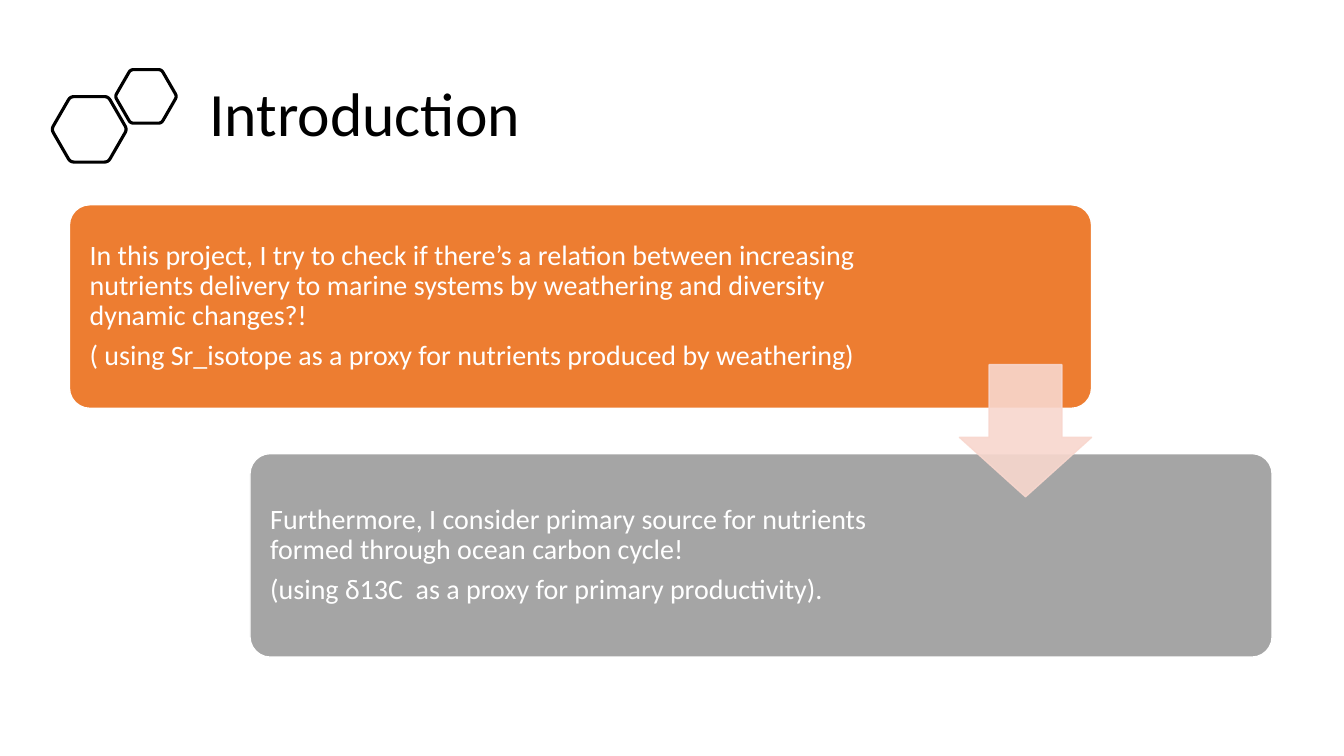
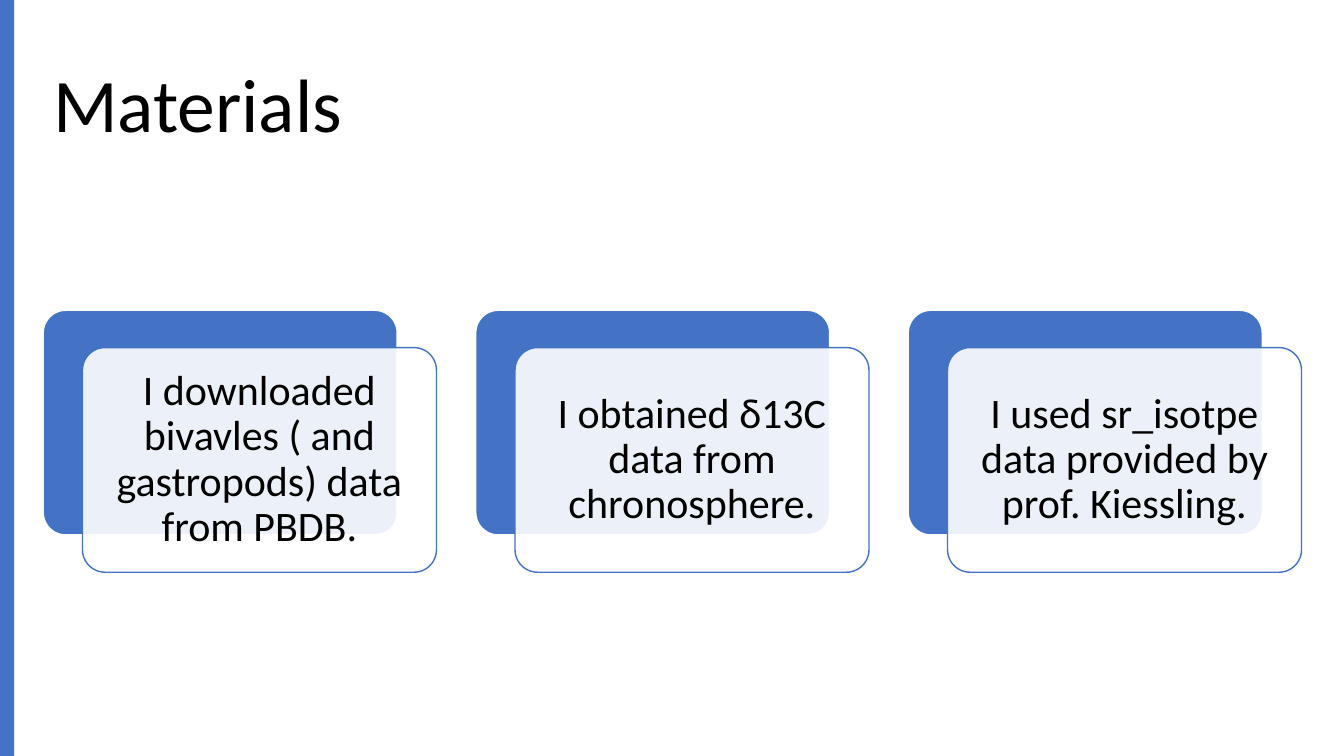
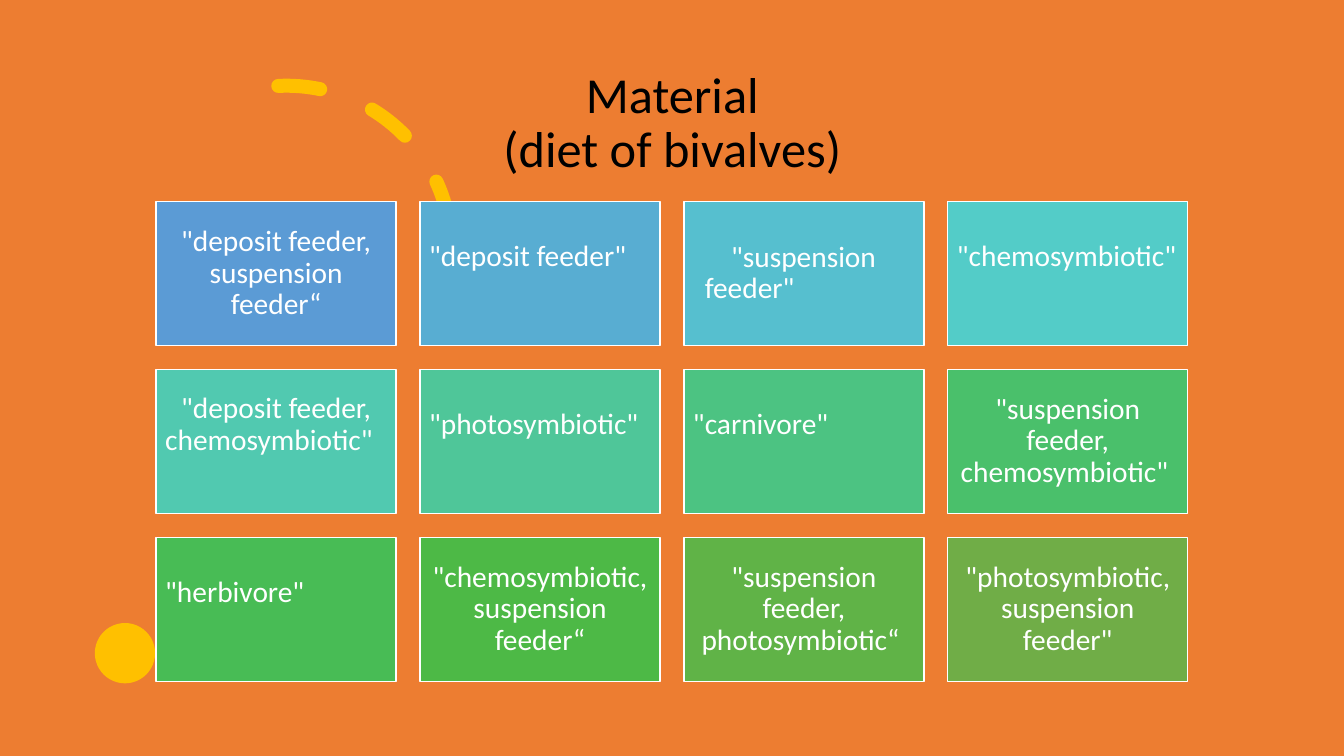
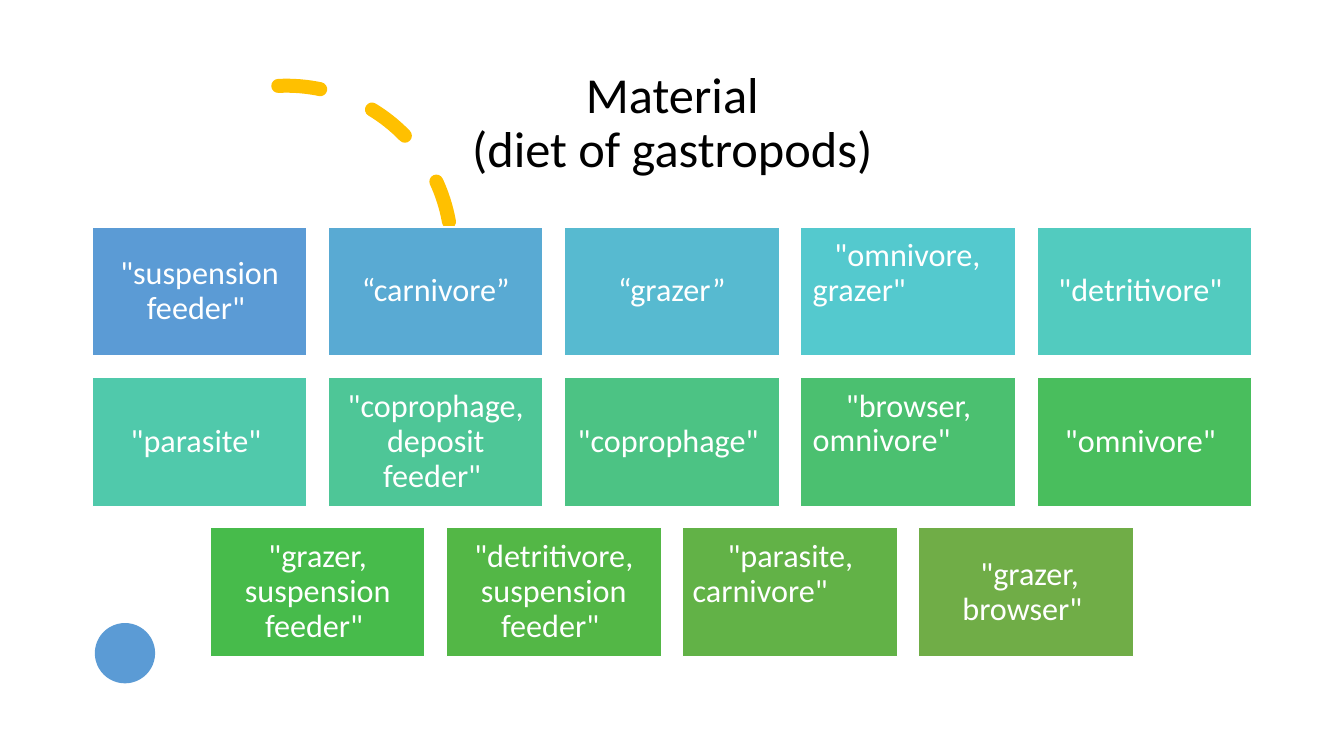
from math import cos, pi, sin, sqrt

from pptx import Presentation
from pptx.dml.color import RGBColor
from pptx.enum.dml import MSO_LINE
from pptx.enum.shapes import MSO_SHAPE
from pptx.enum.text import MSO_ANCHOR, PP_ALIGN
from pptx.oxml.ns import qn
from pptx.util import Cm, Pt

PAGE_WIDTH, PAGE_HEIGHT = 33.87, 19.05
FONT = "Calibri"
BLACK, WHITE = "000000", "FFFFFF"
BLUE, SKY, ORANGE, GREY = "4472C4", "5B9BD5", "ED7D31", "A5A5A5"
GOLD, PINK = "FFC000", "F8D7CE"
LINE_HEIGHT = 1.1

INTRODUCTION = [
    ((1.75, 5.16), ORANGE, 5.33, [
        "In this project, I try to check if there’s a relation between increasing nutrients "
        "delivery to marine systems by weathering and diversity dynamic changes?!",
        "( using Sr_isotope as a proxy for nutrients produced by weathering)",
    ]),
    ((6.3, 11.43), GREY, 8.23, [
        "Furthermore, I consider primary source for nutrients formed through ocean carbon cycle!",
        "(using δ13C  as a proxy for primary productivity).",
    ]),
]

MATERIALS = [
    "I downloaded bivavles ( and gastropods) data from PBDB.",
    "I obtained δ13C data from chronosphere.",
    "I used sr_isotpe data provided by prof. Kiessling.",
]

# Each tile: colour, text and, for left-aligned text, its placement.
RAISED = {"left": 0, "raised": True}
BIVALVE_DIETS = [
    [
        ("5B9BD5", '"deposit feeder, suspension feeder“', {}),
        ("58ADD2", '"deposit feeder"', RAISED),
        ("56BFCF", '"suspension feeder"', {"left": 0.3, "first": 0.66}),
        ("53CCC8", '"chemosymbiotic"', RAISED),
    ],
    [
        ("51C9B0", '"deposit feeder, chemosymbiotic"', {"left": 0, "first": 0.4, "raised": True}),
        ("4FC699", '"photosymbiotic"', RAISED),
        ("4CC382", '"carnivore"', RAISED),
        ("4AC06B", '"suspension feeder, chemosymbiotic" ', {}),
    ],
    [
        ("48BC55", '"herbivore"', RAISED),
        ("4DB946", '"chemosymbiotic, suspension feeder“', {}),
        ("60B347", '"suspension feeder, photosymbiotic“ ', {}),
        ("70AD47", '"photosymbiotic, suspension feeder"', {}),
    ],
]
GASTROPOD_DIETS = [
    [
        ("5B9BD5", '"suspension feeder" ', {}),
        ("59AAD3", "“carnivore”", {}),
        ("57BAD0", "“grazer”", {}),
        ("54C9CE", '"omnivore, grazer"', {"left": 0.05, "first": 0.55, "raised": True}),
        ("52CBBF", '"detritivore" ', {}),
    ],
    [
        ("50C9AB", '"parasite" ', {}),
        ("4EC697", '"coprophage, deposit feeder" ', {}),
        ("4CC384", '"coprophage" ', {}),
        ("4BC070", '"browser, omnivore"', {"left": 0.05, "first": 0.84, "raised": True}),
        ("49BE5D", '"omnivore" ', {}),
    ],
    [
        ("47BB4B", '"grazer, suspension feeder" ', {}),
        ("53B746", '"detritivore, suspension feeder" ', {}),
        ("62B247", '"parasite, carnivore"', {"left": 0, "first": 0.88, "raised": True}),
        ("70AD47", ' "grazer, browser" ', {}),
    ],
]


def rgb(value):
    return RGBColor.from_string(value)


def set_values(target, values):
    for name, value in values.items():
        setattr(target, name, value)


def paint(shape, fill=None, line=None, width=1):
    """Give a shape its fill and outline; None leaves that part empty."""
    shape.shadow.inherit = False
    if fill:
        shape.fill.solid()
        shape.fill.fore_color.rgb = rgb(fill)
    else:
        shape.fill.background()
    if line:
        shape.line.color.rgb = rgb(line)
        shape.line.width = Pt(width)
    else:
        shape.line.fill.background()


def add_shape(page, kind, box, adjustments=(), **style):
    shape = page.shapes.add_shape(kind, *map(Cm, box))
    for index, value in enumerate(adjustments):
        shape.adjustments[index] = value
    paint(shape, **style)
    return shape


def set_opacity(shape, percent, colours):
    for colour in shape._element.spPr.xpath(colours):
        alpha = colour.makeelement(qn("a:alpha"), {"val": str(percent * 1000)})
        colour.append(alpha)


def write(shape, texts, size, colour, align=PP_ALIGN.CENTER, insets=(0.25, 0.13, 0.25, 0.13), gap=0):
    """Fill a shape with paragraphs; insets run left, top, right, bottom."""
    frame = shape.text_frame
    sides = ("margin_left", "margin_top", "margin_right", "margin_bottom")
    set_values(frame, {"word_wrap": True, "vertical_anchor": MSO_ANCHOR.MIDDLE,
                       **dict(zip(sides, map(Cm, insets)))})
    for index, text in enumerate(texts):
        para = frame.add_paragraph() if index else frame.paragraphs[0]
        para.text = text
        set_values(para, {"alignment": align, "line_spacing": 0.9, "space_after": Pt(gap)})
        for span in para.runs:
            set_values(span.font, {"name": FONT, "size": Pt(size)})
            span.font.color.rgb = rgb(colour)


def add_title(page, text, box, size, align=PP_ALIGN.LEFT):
    write(page.shapes.add_textbox(*map(Cm, box)), [text], size, BLACK, align)


def add_hexagon(page, center_x, center_y, height):
    """Outline a flat-topped hexagon with rounded corners."""
    radius = height / sqrt(3)
    corners = [(center_x + radius * cos(k * pi / 3), center_y + radius * sin(k * pi / 3))
               for k in range(6)]
    cut = 0.1
    points = []
    for k, corner in enumerate(corners):
        before, after = corners[k - 1], corners[(k + 1) % 6]
        for t in (0, 0.25, 0.5, 0.75, 1):
            points.append(tuple(
                Cm(c + cut * ((1 - t) ** 2 * (b - c) + t ** 2 * (a - c)))
                for b, c, a in zip(before, corner, after)))
    builder = page.shapes.build_freeform(*points[0])
    builder.add_line_segments(points[1:], close=True)
    paint(builder.convert_to_shape(), line=BLACK, width=2.25)


def add_material_card(page, left, top, text):
    width, height = 8.92, 5.66
    add_shape(page, MSO_SHAPE.ROUNDED_RECTANGLE, (left, top, width, height), [0.1],
              fill=BLUE, line=WHITE)
    front = add_shape(page, MSO_SHAPE.ROUNDED_RECTANGLE,
                      (left + 0.99, top + 0.94, width, height), [0.1], fill=WHITE, line=BLUE)
    set_opacity(front, 90, "a:solidFill/a:srgbClr")
    write(front, [text], 30, BLACK, insets=[0.48] * 4)


def add_tile(page, box, colour, text, placement, size, inset):
    tile = add_shape(page, MSO_SHAPE.RECTANGLE, box, fill=colour, line=WHITE)
    one_line = size * LINE_HEIGHT * 2.54 / 72
    bottom = inset + (one_line if placement.get("raised") else 0)
    align = PP_ALIGN.LEFT if "left" in placement else PP_ALIGN.CENTER
    write(tile, [text], size, WHITE, align, (inset, inset, inset, bottom))
    if "left" in placement:
        properties = tile.text_frame.paragraphs[0]._p.get_or_add_pPr()
        properties.set("marL", str(Cm(placement["left"])))
        properties.set("indent", str(Cm(placement.get("first", 0))))


def add_tile_rows(page, rows, top, tile_size, gap, size, inset):
    """Stack rows of tiles, each row centred on the page."""
    width, height = tile_size
    for row_index, row in enumerate(rows):
        left = (PAGE_WIDTH - len(row) * (width + gap) + gap) / 2
        for column, (colour, text, placement) in enumerate(row):
            box = (left + column * (width + gap), top + row_index * (height + gap), width, height)
            add_tile(page, box, colour, text, placement, size, inset)


def add_diet_frame(page, title, dot_colour):
    """Draw the dashed arc, the dot and the centred title of a diet slide."""
    arc = add_shape(page, MSO_SHAPE.ARC, (3.07, 2.16, 8.31, 8.31), [162, 22.874],
                    line=GOLD, width=10)
    arc.rotation = 357.1
    arc.line.dash_style = MSO_LINE.DASH
    arc.line._ln.set("cap", "rnd")
    add_shape(page, MSO_SHAPE.OVAL, (2.39, 15.7, 1.52, 1.52), fill=dot_colour)
    add_title(page, title, (2.34, 1.55, 29.21, 3.15), 36, PP_ALIGN.CENTER)


def build_introduction(page):
    add_title(page, "Introduction", (5.03, 1.45, 27.46, 2.97), 44)
    add_hexagon(page, 2.25, 3.26, 1.65)
    add_hexagon(page, 3.68, 2.43, 1.35)
    for corner, colour, right_inset, texts in INTRODUCTION:
        card = add_shape(page, MSO_SHAPE.ROUNDED_RECTANGLE, (*corner, 25.76, 5.13), [0.1],
                         fill=colour, line=WHITE)
        write(card, texts, 20, WHITE, PP_ALIGN.LEFT, (0.36, 0.36, right_inset, 0.36), gap=7)
    arrow = add_shape(page, MSO_SHAPE.DOWN_ARROW, (24.18, 9.19, 3.33, 3.33), [0.55, 0.45],
                      fill=PINK, line=PINK)
    set_opacity(arrow, 90, ".//a:srgbClr")


def build_materials(page):
    add_title(page, "Materials", (1.09, 0.89, 31.7, 3.68), 54)
    add_shape(page, MSO_SHAPE.RECTANGLE, (0, 0, 0.36, PAGE_HEIGHT), fill=BLUE)
    for index, text in enumerate(MATERIALS):
        add_material_card(page, 1.09 + index * 10.9, 7.82, text)


def build_bivalves(page):
    add_shape(page, MSO_SHAPE.RECTANGLE, (0, 0, PAGE_WIDTH, PAGE_HEIGHT), fill=ORANGE)
    add_diet_frame(page, "Material\v(diet of bivalves)", GOLD)
    add_tile_rows(page, BIVALVE_DIETS, 5.08, (6.05, 3.63), 0.6, 21, 0.23)


def build_gastropods(page):
    add_diet_frame(page, "Material\v(diet of gastropods)", SKY)
    add_tile_rows(page, GASTROPOD_DIETS, 5.72, (5.41, 3.25), 0.54, 23, 0.25)


def main():
    deck = Presentation()
    set_values(deck, {"slide_width": Cm(PAGE_WIDTH), "slide_height": Cm(PAGE_HEIGHT)})
    for build in (build_introduction, build_materials, build_bivalves, build_gastropods):
        build(deck.slides.add_slide(deck.slide_layouts[6]))
    deck.save("out.pptx")


if __name__ == "__main__":
    main()
